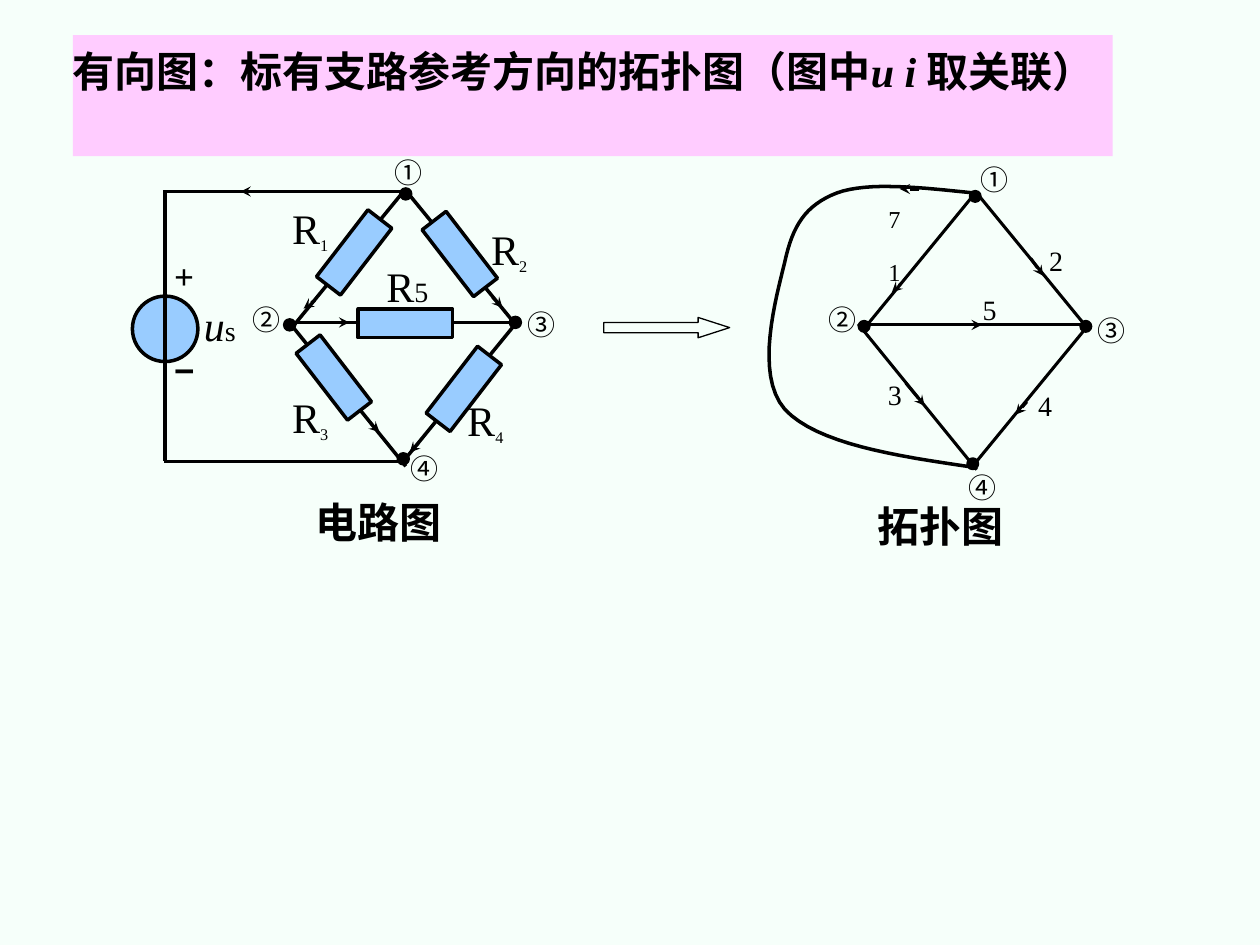
from dataclasses import dataclass
from typing import Any

from pptx import Presentation
from pptx import util as u
from pptx.dml.color import RGBColor
from pptx.enum import shapes, text
from pptx.oxml.ns import qn
from lxml import etree

BLACK = RGBColor(0x00, 0x00, 0x00)
PINK = RGBColor(0xFF, 0xCC, 0xFF)
BLUE = RGBColor(0x99, 0xCC, 0xFF)
MINT = RGBColor(0xF6, 0xFF, 0xFA)
SERIF = "Times New Roman"
SANS = "Arial"
CHINESE = "Noto Sans CJK SC"
DOT = 0.2
TILT = 37.6


@dataclass
class Box:
    slide: Any
    left: float
    top: float

    def x(self, value):
        return u.Cm(self.left + value)

    def y(self, value):
        return u.Cm(self.top + value)


def add_run(paragraph, content, size=16, font=SERIF, bold=False, italic=False, subscript=False):
    run = paragraph.add_run()
    run.text = content
    run.font.size = u.Pt(size)
    run.font.name = font
    run.font.bold = bold
    run.font.italic = italic
    run.font.color.rgb = BLACK
    properties = run.font._element
    etree.SubElement(properties, qn("a:ea")).set("typeface", CHINESE)
    if subscript:
        properties.set("baseline", "-25000")


def add_label(box, content, left, top, width, height=0.94, **style):
    label = box.slide.shapes.add_textbox(box.x(left), box.y(top), u.Cm(width), u.Cm(height))
    label.text_frame.word_wrap = True
    paragraph = label.text_frame.paragraphs[0]
    add_run(paragraph, content, **style)
    return paragraph


def add_preset(box, kind, left, top, width, height, fill=None, line=None):
    shape = box.slide.shapes.add_shape(kind, box.x(left), box.y(top), u.Cm(width), u.Cm(height))
    shape.shadow.inherit = False
    if fill is None:
        shape.fill.background()
    else:
        shape.fill.solid()
        shape.fill.fore_color.rgb = fill
    if line is None:
        shape.line.fill.background()
    else:
        shape.line.color.rgb = BLACK
        shape.line.width = u.Pt(line)
    return shape


def add_wire(box, x1, y1, x2, y2, width=1.75, arrow=False):
    wire = box.slide.shapes.add_connector(
        shapes.MSO_CONNECTOR.STRAIGHT, box.x(x1), box.y(y1), box.x(x2), box.y(y2))
    wire.line.color.rgb = BLACK
    wire.line.width = u.Pt(width)
    if arrow:
        etree.SubElement(wire.line._get_or_add_ln(), qn("a:tailEnd")).set("type", "stealth")
    etree.SubElement(wire._element.spPr, qn("a:effectLst"))


def add_nodes(box, centers, line):
    for x, y in centers:
        add_preset(box, shapes.MSO_SHAPE.OVAL, x - DOT / 2, y - DOT / 2, DOT, DOT, BLACK, line)


def add_node_names(box, places):
    for name, place in zip("①②③④", places):
        add_label(box, name, *place, font=CHINESE)


def add_resistor(box, x, y, width, height, rotation):
    resistor = add_preset(box, shapes.MSO_SHAPE.RECTANGLE, x - width / 2, y - height / 2,
                          width, height, BLUE, 2)
    resistor.rotation = rotation


def bezier_points(start, curves, steps=16):
    points = []
    for curve in curves:
        controls = (start, *curve)
        for step in range(1, steps + 1):
            t = step / steps
            weights = ((1 - t) ** 3, 3 * t * (1 - t) ** 2, 3 * t * t * (1 - t), t ** 3)
            points.append(tuple(sum(w * c[axis] for w, c in zip(weights, controls))
                                for axis in (0, 1)))
        start = curve[-1]
    return points


def add_curve(box, start, curves):
    builder = box.slide.shapes.build_freeform(box.x(start[0]), box.y(start[1]))
    builder.add_line_segments([(box.x(x), box.y(y)) for x, y in bezier_points(start, curves)],
                              close=False)
    curve = builder.convert_to_shape()
    curve.shadow.inherit = False
    curve.fill.background()
    curve.line.color.rgb = BLACK
    curve.line.width = u.Pt(2)


def draw_title(box):
    banner = add_preset(box, shapes.MSO_SHAPE.RECTANGLE, 0, 0, 20.96, 2.44, PINK)
    frame = banner.text_frame
    frame.word_wrap = True
    frame.vertical_anchor = text.MSO_ANCHOR.TOP
    frame.margin_left = frame.margin_right = 0
    frame.margin_top = frame.margin_bottom = u.Cm(0.2)
    paragraph = frame.paragraphs[0]
    paragraph.alignment = text.PP_ALIGN.LEFT
    for content, font, italic in (("有向图：", CHINESE, False),
                                  ("标有支路参考方向的拓扑图（图中", SANS, False),
                                  ("u i ", SERIF, True),
                                  ("取关联）", SANS, False)):
        add_run(paragraph, content, size=24, font=font, bold=True, italic=italic)


def draw_topology(box):
    for content, left, top in (("2", 5.7, 1.78), ("4", 5.48, 4.7), ("3", 2.45, 4.49), ("5", 4.36, 2.77)):
        add_label(box, content, left, top, 0.8)
    for content, top in (("1", 1.5), ("7", 0.43)):
        add_label(box, content, 2.46, top, 0.79, 1.42, size=24, subscript=True)
    for branch in ((4.46, 0.89, 2.2, 3.65), (2.15, 3.55, 6.8, 3.55), (4.49, 0.89, 6.75, 3.65),
                   (6.72, 3.58, 4.43, 6.37), (2.1, 3.53, 4.49, 6.47)):
        add_wire(box, *branch)
    add_nodes(box, ((6.69, 3.58), (4.41, 6.35), (2.22, 3.58), (4.46, 0.96)), 1.75)
    for direction in ((4.1, 3.55, 4.59, 3.55), (3.32, 0.81, 2.94, 0.81), (5.58, 2.21, 5.83, 2.56),
                      (5.5, 5.1, 5.27, 5.36), (2.96, 2.72, 2.78, 2.89), (3.06, 4.72, 3.44, 5.18)):
        add_wire(box, *direction, arrow=True)
    add_curve(box, (4.43, 0.89), (((3.37, 0.78), (2.3, 0.66), (1.67, 0.89)),
                                  ((1.03, 1.14), (0.78, 1.55), (0.62, 2.28)),
                                  ((0.45, 2.99), (0, 4.54), (0.62, 5.25)),
                                  ((1.26, 5.94), (2.83, 6.19), (4.43, 6.42))))
    add_label(box, "拓扑图", 2.25, 6.96, 3.61, 1.27, size=24, bold=True)
    add_node_names(box, ((4.31, 0.15, 1.07), (1.26, 2.97, 1.27), (6.67, 3.2, 0.99), (4.08, 6.37, 1.07)))


def draw_circuit(box):
    for direction in ((4.06, 3.5, 4.5, 3.5), (3.15, 0.86, 2.31, 0.86), (7.39, 2.99, 7.59, 3.2),
                      (5.89, 5.94, 5.72, 6.12), (3.81, 3.05, 3.58, 3.22), (4.95, 5.56, 5.11, 5.71)):
        add_wire(box, *direction, arrow=True)
    add_node_names(box, ((5.16, 0.02, 1.07), (2.31, 2.97, 1.27), (7.85, 3.07, 0.99), (5.49, 5.97, 1.07)))
    add_preset(box, shapes.MSO_SHAPE.OVAL, 0.13, 2.97, 1.32, 1.32, BLUE, 2)
    for wire in ((0.79, 0.84, 0.79, 6.3), (0.76, 6.3, 5.59, 6.3), (0.76, 0.86, 5.64, 0.86),
                 (5.61, 0.84, 3.35, 3.6), (3.3, 3.5, 7.98, 3.5), (5.64, 0.84, 7.9, 3.6),
                 (7.85, 3.53, 5.59, 6.3), (3.25, 3.45, 5.64, 6.4)):
        add_wire(box, *wire, width=2)
    add_resistor(box, 5.63, 3.52, 0.58, 1.9, 90)
    for x, y, rotation in ((6.81, 4.84, TILT), (4.6, 2.09, TILT),
                           (6.73, 2.12, -TILT), (4.19, 4.61, -TILT)):
        add_resistor(box, x, y, 0.61, 1.7, rotation)
    add_nodes(box, ((7.85, 3.5), (5.59, 6.25), (3.3, 3.55), (5.64, 0.91)), 2)
    for symbol, index, left, top, subscript in (
            ("R", "1", 3.1, 0.96, True), ("R", "4", 6.63, 4.82, True), ("R", "2", 7.11, 1.39, True),
            ("R", "3", 3.1, 4.77, True), ("R", "5", 5, 2.13, False), ("u", "s", 1.32, 2.92, False)):
        paragraph = add_label(box, symbol, left, top, 1.52, 1.3, size=24, italic=symbol == "u")
        add_run(paragraph, index, subscript=subscript)
    add_label(box, "电路图", 3.58, 6.88, 3.61, 1.27, size=24, bold=True)
    for sign, top, font in (("+", 2, SERIF), ("−", 3.91, SANS)):
        add_label(box, sign, 0.72, top, 1.07, 1.12, size=20, font=font, bold=True)


def draw_transition(box):
    arrow = add_preset(box, shapes.MSO_SHAPE.RIGHT_ARROW, 0, 0, 2.54, 0.41, line=0.75)
    arrow.adjustments[0] = 0.5
    arrow.adjustments[1] = 1.55


def main():
    presentation = Presentation()
    presentation.slide_width = u.Cm(25.4)
    presentation.slide_height = u.Cm(19.05)
    slide = presentation.slides.add_slide(presentation.slide_layouts[6])
    slide.background.fill.solid()
    slide.background.fill.fore_color.rgb = MINT
    draw_title(Box(slide, 1.47, 0.71))
    draw_transition(Box(slide, 12.17, 6.4))
    draw_topology(Box(slide, 15.2, 3))
    draw_circuit(Box(slide, 2.54, 3))
    presentation.save("out.pptx")


if __name__ == "__main__":
    main()
